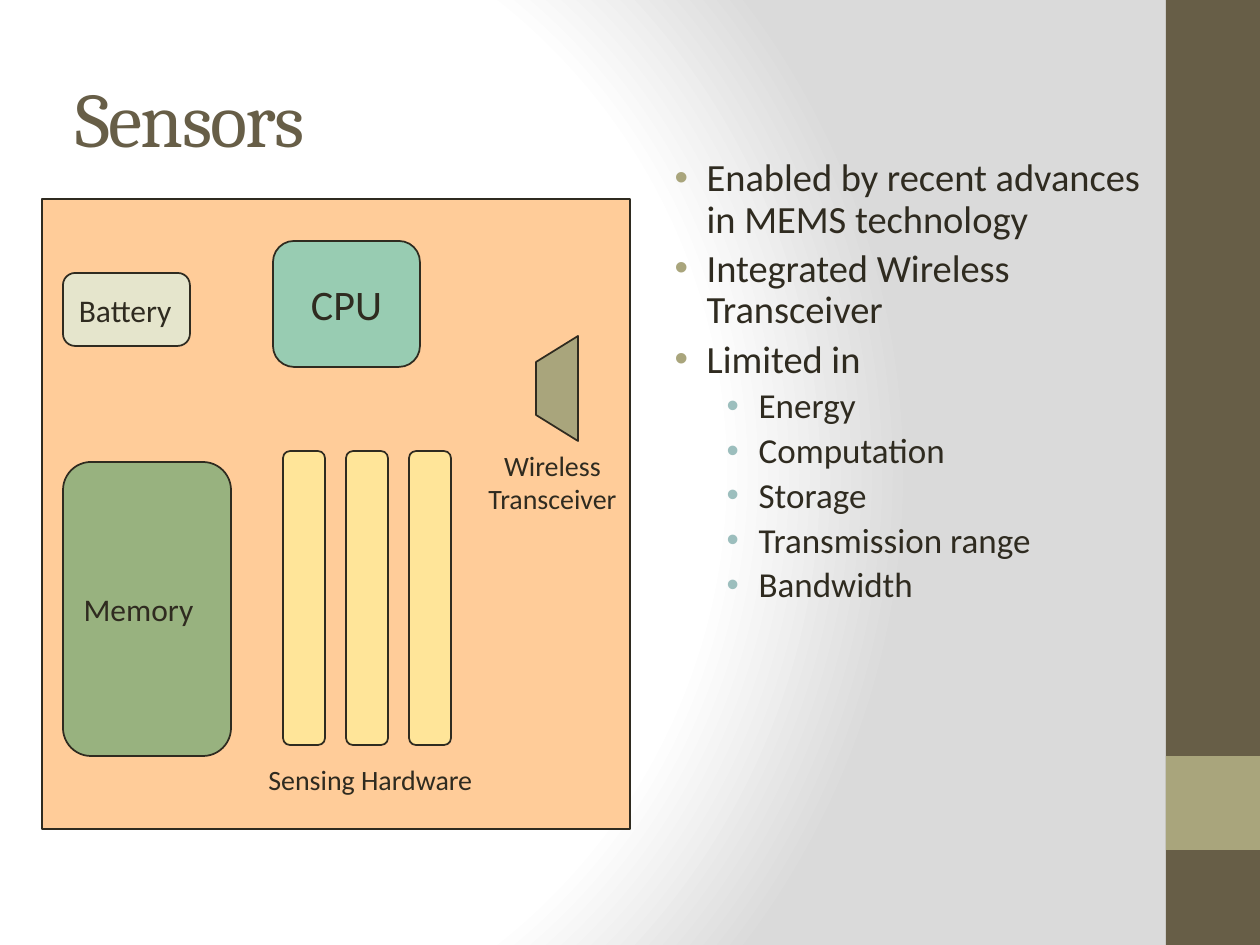
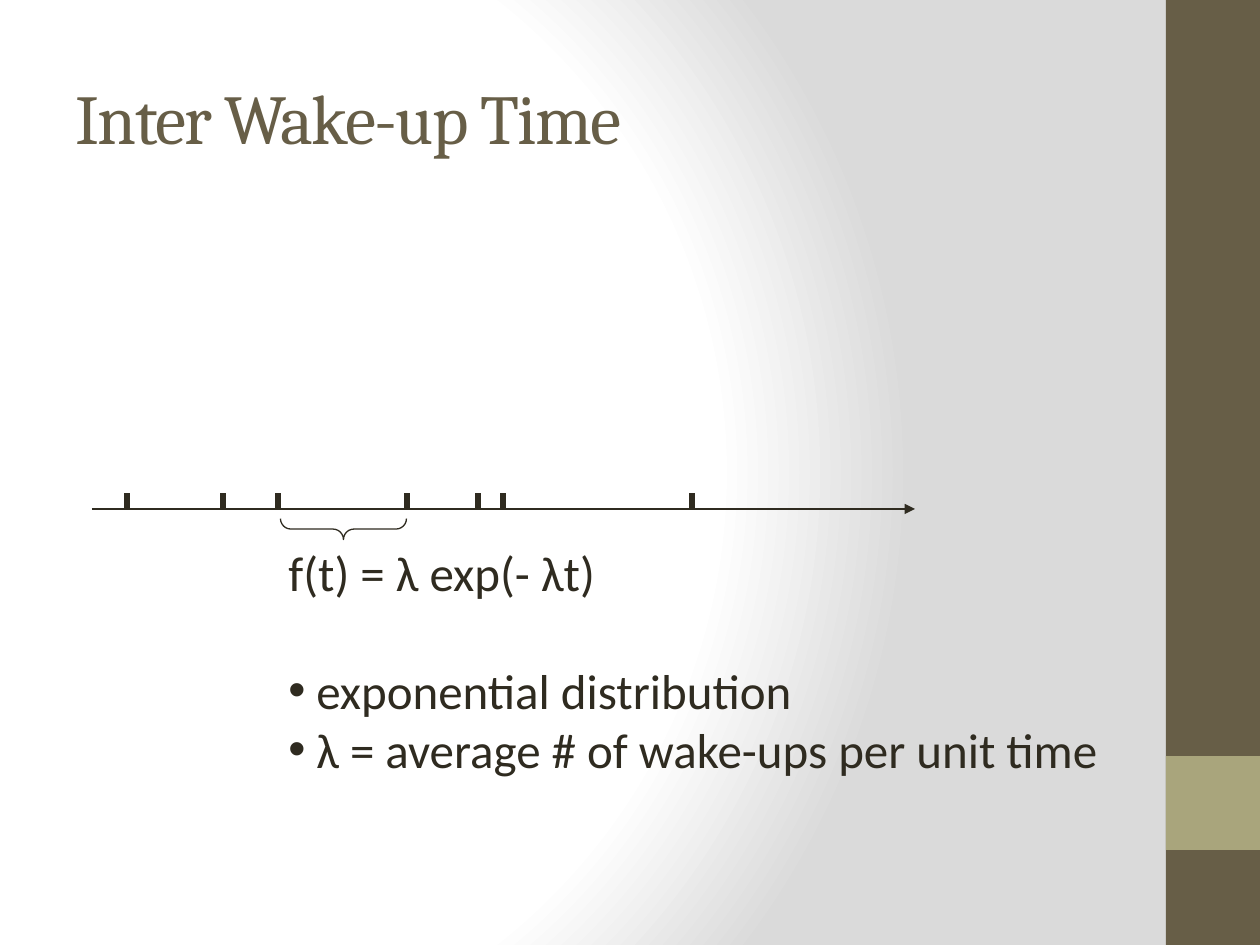
from dataclasses import dataclass

from lxml.etree import SubElement
from pptx import Presentation
from pptx.dml.color import RGBColor
from pptx.enum.shapes import MSO_CONNECTOR, MSO_SHAPE
from pptx.enum.text import MSO_ANCHOR, MSO_AUTO_SIZE, PP_ALIGN
from pptx.oxml import parse_xml
from pptx.oxml.ns import nsdecls, qn
from pptx.util import Pt

EMU_PER_PX = 914400 / 126
SLIDE_W, SLIDE_H = 1260, 945


@dataclass(frozen=True)
class Theme:
    heading_font: str = "Cambria"
    body_font: str = "Calibri"
    ink: str = "2F2B20"
    brown: str = "675E47"
    olive: str = "A9A57C"
    aqua: str = "9CBEBD"
    paper: str = "FFFFFF"
    paper_edge: str = "DADADA"
    board: str = "FFCC99"
    battery: str = "CCFFFF"
    memory: str = "339966"
    cpu: str = "33CCCC"
    sensing: str = "FFFF99"
    title: int = 44
    long_title: int = 40
    formula: int = 28
    large: int = 24
    bullet: int = 22
    sub_bullet: int = 20
    label: int = 18
    caption: int = 16


T = Theme()


def px(n):
    return round(n * EMU_PER_PX)


def rgb(color):
    return RGBColor.from_string(color)


def write(tf, text, size=T.label, color=T.ink, font=T.body_font, align=PP_ALIGN.LEFT,
          level=0, bullet=None, margin=0, hang=0, line=None, before=None, tracking=None):
    """Add one formatted paragraph to a text frame, filling an empty first one."""
    p = tf.add_paragraph() if tf.text else tf.paragraphs[0]
    p.alignment, p.level = align, level
    if line:
        p.line_spacing = line
    if before is not None:
        p.space_before = Pt(before)
    if bullet:
        pPr = p._p.get_or_add_pPr()
        pPr.set("marL", str(px(margin)))
        pPr.set("indent", str(-px(hang)))
        SubElement(SubElement(pPr, qn("a:buClr")), qn("a:srgbClr"), val=bullet)
        SubElement(pPr, qn("a:buFont"), typeface="Arial")
        SubElement(pPr, qn("a:buChar"), char="•")
    r = p.add_run()
    r.text = text
    r.font.size, r.font.name = Pt(size), font
    r.font.color.rgb = rgb(color)
    if tracking:
        r.font._element.set("spc", str(tracking))


def style(sp, fill=None, line=T.ink, width=1, alpha=None):
    sp.shadow.inherit = False
    if fill:
        sp.fill.solid()
        sp.fill.fore_color.rgb = rgb(fill)
    else:
        sp.fill.background()
    if alpha:
        color = sp.element.spPr.find(qn("a:solidFill")).find(qn("a:srgbClr"))
        SubElement(color, qn("a:alpha"), val=str(alpha * 1000))
    if line:
        sp.line.color.rgb = rgb(line)
        sp.line.width = Pt(width)
    else:
        sp.line.fill.background()
    return sp


def add_box(s, kind, x, y, w, h, **look):
    return style(s.shapes.add_shape(kind, px(x), px(y), px(w), px(h)), **look)


def add_part(s, x, y, w, h, fill, text=None, **fmt):
    """Add a half-transparent rounded hardware part with an optional label."""
    sp = add_box(s, MSO_SHAPE.ROUNDED_RECTANGLE, x, y, w, h, fill=fill, alpha=50)
    if text:
        sp.text_frame.word_wrap = False
        write(sp.text_frame, text, **fmt)


def add_text(s, x, y, w, h):
    tf = s.shapes.add_textbox(px(x), px(y), px(w), px(h)).text_frame
    tf.word_wrap = False
    tf.auto_size = MSO_AUTO_SIZE.SHAPE_TO_FIT_TEXT
    return tf


def add_line(s, x1, y1, x2, y2, width, arrow=False):
    c = s.shapes.add_connector(MSO_CONNECTOR.STRAIGHT, px(x1), px(y1), px(x2), px(y2))
    c.line.color.rgb = rgb(T.ink)
    c.line.width = Pt(width)
    spPr = c.element.spPr
    if arrow:
        SubElement(spPr.find(qn("a:ln")), qn("a:tailEnd"), type="triangle")
    SubElement(spPr, qn("a:effectLst"))


def place(ph, x, y, w, h, anchor):
    """Move a placeholder and return its text frame."""
    ph.left, ph.top, ph.width, ph.height = px(x), px(y), px(w), px(h)
    tf = ph.text_frame
    tf.word_wrap, tf.auto_size = True, MSO_AUTO_SIZE.NONE
    tf.vertical_anchor = anchor
    return tf


def add_slide(prs, layout, title, size):
    s = prs.slides.add_slide(prs.slide_layouts[layout])
    tf = place(s.shapes.title, 63, 38, 1050, 157, MSO_ANCHOR.MIDDLE)
    write(tf, title, size=size, color=T.brown, font=T.heading_font, tracking=-100)
    return s


def dress_master(prs, s):
    """Give the master its glow and side bands; bands are drawn on s, then moved."""
    master = prs.slide_master
    master.background.fill.solid()
    bgPr = master.element.find(".//" + qn("p:bgPr"))
    stops = "".join(
        f'<a:gs pos="{pos}000"><a:srgbClr val="{color}"/></a:gs>'
        for pos, color in ((0, T.paper), (75, T.paper), (100, T.paper_edge)))
    bgPr.replace(bgPr[0], parse_xml(
        f'<a:gradFill {nsdecls("a")} rotWithShape="1"><a:gsLst>{stops}</a:gsLst>'
        '<a:path path="circle"><a:fillToRect l="20000" t="50000" r="100000" b="50000"/>'
        '</a:path></a:gradFill>'))
    tree = master.shapes[0].element.getparent()
    bands = ((0, SLIDE_H, T.brown), (756, 94, T.olive))
    for i, (top, height, color) in enumerate(bands):
        band = add_box(s, MSO_SHAPE.RECTANGLE, 1166, top, 94, height, fill=color, line=None)
        band.element.nvSpPr.cNvPr.set("id", str(20 + i))
        tree.append(band.element)


def draw_sensor_board(s):
    add_box(s, MSO_SHAPE.RECTANGLE, 42, 199, 588, 630, fill=T.board)
    add_part(s, 63, 273, 127, 73, T.battery, "Battery")
    add_part(s, 63, 462, 168, 294, T.memory, "Memory")
    add_part(s, 273, 241, 147, 126, T.cpu, "CPU", size=T.large, align=PP_ALIGN.CENTER)
    for i in range(3):
        add_part(s, 283 + 63 * i, 451, 42, 294, T.sensing)
    antenna = s.shapes.build_freeform(578, 336, scale=EMU_PER_PX)
    antenna.add_line_segments([(536, 362), (536, 415), (578, 441)], close=True)
    style(antenna.convert_to_shape(), fill=T.olive)
    write(add_text(s, 256, 756, 232, 47), "Sensing Hardware", size=T.caption)
    tf = add_text(s, 470, 442, 165, 81)
    for word in ("Wireless", "Transceiver"):
        write(tf, word, size=T.caption, align=PP_ALIGN.CENTER)


def list_sensor_traits(s):
    tf = place(s.placeholders[1], 646, 152, 507, 730, MSO_ANCHOR.TOP)
    for text in ("Enabled by recent advances in MEMS technology",
                 "Integrated Wireless Transceiver", "Limited in"):
        write(tf, text, size=T.bullet, bullet=T.olive, margin=48, hang=32, line=0.9)
    for text in ("Energy", "Computation", "Storage", "Transmission range", "Bandwidth"):
        write(tf, text, size=T.sub_bullet, level=1, bullet=T.aqua,
              margin=100, hang=32, line=0.9)


def draw_wakeup_timeline(s):
    axis_y = 509
    add_line(s, 92, axis_y, 915, axis_y, 0.75, arrow=True)
    for x in (127, 223, 278, 407, 478, 503, 692):
        add_line(s, x, axis_y, x, axis_y - 16, 3)
    brace = add_box(s, MSO_SHAPE.LEFT_BRACE, 333, 466, 21, 126, width=0.75)
    brace.rotation = 270
    brace.adjustments[0] = 0.5


def explain_distribution(s):
    tf = add_text(s, 276, 536, 917, 307)
    write(tf, "f(t) = λ exp(- λt)", size=T.formula)
    for text, gap in (("exponential distribution", 34),
                      ("λ = average # of wake-ups per unit time", 0)):
        write(tf, text, size=T.formula, bullet=T.ink, margin=28, hang=28, before=gap)


def main():
    prs = Presentation()
    prs.slide_width, prs.slide_height = px(SLIDE_W), px(SLIDE_H)

    sensors = add_slide(prs, 1, "Sensors", T.title)
    dress_master(prs, sensors)
    draw_sensor_board(sensors)
    list_sensor_traits(sensors)

    wakeup = add_slide(prs, 5, "Inter Wake-up Time", T.long_title)
    draw_wakeup_timeline(wakeup)
    explain_distribution(wakeup)

    prs.save("out.pptx")


if __name__ == "__main__":
    main()
